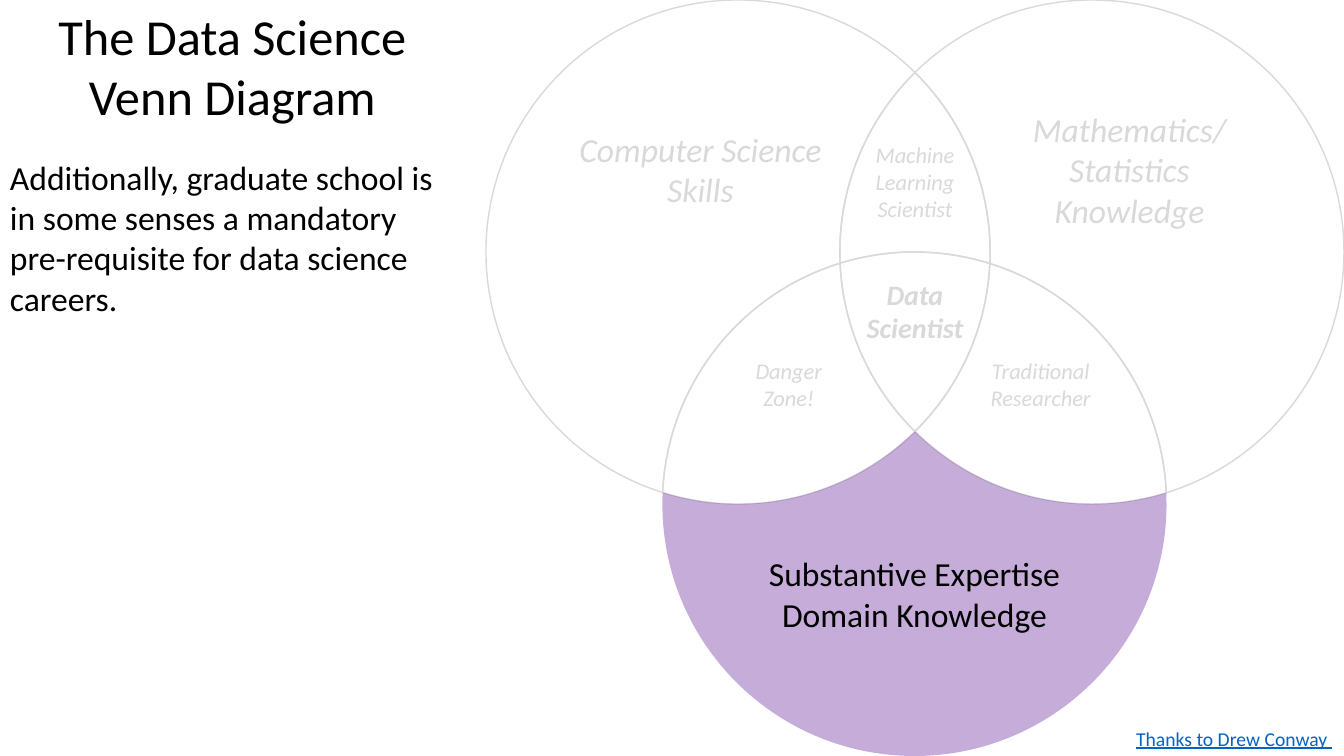
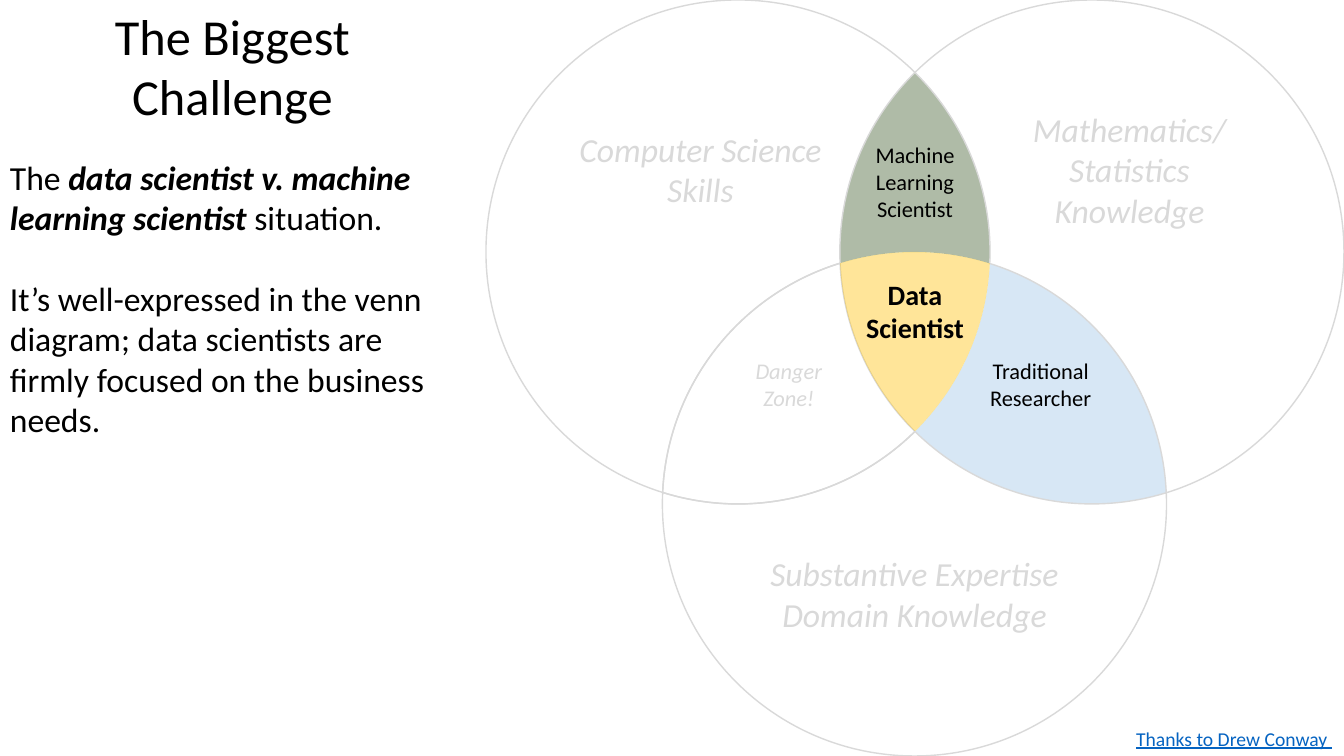
from dataclasses import dataclass
from math import atan2, cos, hypot, sin, sqrt, tan, tau
from typing import NamedTuple

from lxml.etree import SubElement
from pptx import Presentation
from pptx.dml.color import RGBColor
from pptx.enum.text import MSO_ANCHOR, PP_ALIGN
from pptx.oxml.ns import qn
from pptx.shapes.autoshape import Shape
from pptx.slide import Slide
from pptx.text.text import Font
from pptx.util import Inches, Pt


@dataclass(frozen=True)
class Theme:
    font: str = "Calibri"
    ink: str = "000000"
    faint: str = "D9D9D9"
    link: str = "0563C1"
    green: str = "385723"
    blue: str = "9DC3E6"
    gold: str = "FFC000"
    purple: str = "7030A0"
    alpha: int = 40
    title: int = 36
    body: int = 24
    core: int = 20
    small: int = 16
    note: int = 14
    gap: int = 22
    space: int = 29


class Point(NamedTuple):
    x: float
    y: float


class Arc(NamedTuple):
    """Part of a circle; turn is 1 for clockwise, -1 for the other way."""
    hub: Point
    start: Point
    end: Point
    turn: int


class Curve(NamedTuple):
    """A Bézier piece: two control points and the end."""
    pull: Point
    push: Point
    end: Point


class Region(NamedTuple):
    label: str
    size: int
    arcs: list[Arc]
    above: float = 0
    below: float = 0


class Span(NamedTuple):
    text: str
    strong: bool = False


class Page(NamedTuple):
    title: str
    body: list[list[Span]]
    lit: dict[str, str]


THEME = Theme()
RADIUS = 2.5
CODE, MATH, FIELD = Point(7.32, 2.5), Point(10.83, 2.5), Point(9.07, 5)


def meet(a: Point, b: Point) -> list[Point]:
    """Points where two circles cross, the upper one first."""
    dx, dy = b.x - a.x, b.y - a.y
    dist = hypot(dx, dy)
    rise = sqrt(RADIUS ** 2 - dist ** 2 / 4) / dist
    mid = Point((a.x + b.x) / 2, (a.y + b.y) / 2)
    both = [Point(mid.x + s * dy * rise, mid.y - s * dx * rise) for s in (1, -1)]
    return sorted(both, key=lambda p: p.y)


TOP, LOW = meet(CODE, MATH)
RIGHT, WEST = meet(CODE, FIELD)
LEFT, EAST = meet(MATH, FIELD)

REGIONS = [
    Region("Machine\nLearning\nScientist", THEME.small, [
        Arc(CODE, TOP, RIGHT, 1), Arc(FIELD, RIGHT, LEFT, -1),
        Arc(MATH, LEFT, TOP, 1)], above=0.27),
    Region("Traditional\nResearcher", THEME.small, [
        Arc(FIELD, RIGHT, EAST, 1), Arc(MATH, EAST, LOW, 1),
        Arc(CODE, LOW, RIGHT, -1)]),
    Region("Danger\nZone!", THEME.small, [
        Arc(MATH, LEFT, LOW, -1), Arc(CODE, LOW, WEST, 1),
        Arc(FIELD, WEST, LEFT, 1)]),
    Region("Computer Science\nSkills", THEME.body, [
        Arc(MATH, TOP, LEFT, -1), Arc(FIELD, LEFT, WEST, -1),
        Arc(CODE, WEST, TOP, 1)], below=1.53),
    Region("Mathematics/\nStatistics\nKnowledge", THEME.body, [
        Arc(MATH, TOP, EAST, 1), Arc(FIELD, EAST, RIGHT, -1),
        Arc(CODE, RIGHT, TOP, -1)], below=1.53),
    Region("Data\nScientist", THEME.core, [
        Arc(FIELD, LEFT, RIGHT, 1), Arc(CODE, RIGHT, LOW, 1),
        Arc(MATH, LOW, LEFT, 1)], below=0.61),
    Region("Substantive Expertise\nDomain Knowledge", THEME.body, [
        Arc(MATH, LOW, EAST, -1), Arc(FIELD, EAST, WEST, 1),
        Arc(CODE, WEST, LOW, -1)]),
]
LEARN, TRADE, _, _, _, DATA, DOMAIN = [r.label for r in REGIONS]

PAGES = [
    Page("The Data Science Venn Diagram",
         [[Span("Additionally, graduate school is in some senses a mandatory "
                "pre-requisite for data science careers.")]],
         {DOMAIN: THEME.purple}),
    Page("The Biggest Challenge",
         [[Span("The "),
           Span("data scientist v. machine learning scientist ", True),
           Span("situation.")],
          [Span("It’s well-expressed in the venn diagram; data scientists are "
                "firmly focused on the business needs.")]],
         {LEARN: THEME.green, TRADE: THEME.blue, DATA: THEME.gold}),
]


def style(font: Font, size: int, color: str, bold: bool = False,
          italic: bool = False) -> None:
    font.name, font.size = THEME.font, Pt(size)
    font.bold, font.italic = bold, italic
    font.color.rgb = RGBColor.from_string(color)


def trace(arc: Arc) -> list[Curve]:
    """Split an arc at its quarter points into curves."""
    hub = arc.hub
    first, last = (atan2(p.y - hub.y, p.x - hub.x) for p in (arc.start, arc.end))
    sweep = arc.turn * ((arc.turn * (last - first)) % tau)
    low, high = sorted((first, first + sweep))
    cuts = [i * tau / 4 for i in range(-8, 9) if low < i * tau / 4 < high]
    angles = sorted([low, *cuts, high], reverse=arc.turn < 0)

    def spot(angle: float, slide: float = 0) -> Point:
        """Point on the circle, moved along its tangent."""
        return Point(hub.x + RADIUS * (cos(angle) - slide * sin(angle)),
                     hub.y + RADIUS * (sin(angle) + slide * cos(angle)))

    curves = []
    for a, b in zip(angles, angles[1:]):
        reach = 4 / 3 * tan((b - a) / 4)
        curves.append(Curve(spot(a, reach), spot(b, -reach), spot(b)))
    return curves


def outline(slide: Slide, arcs: list[Arc]) -> Shape:
    """Build a closed freeform and bend its sides into curves."""
    curves = [curve for arc in arcs for curve in trace(arc)]
    start = arcs[0].start
    pen = slide.shapes.build_freeform(Inches(start.x), Inches(start.y))
    pen.add_line_segments([(Inches(c.end.x), Inches(c.end.y)) for c in curves])
    shape = pen.convert_to_shape()
    sides = list(shape.element.iter(qn("a:lnTo")))
    for side, curve in zip(sides, curves):
        bend = side.makeelement(qn("a:cubicBezTo"))
        for dot in curve:
            SubElement(bend, qn("a:pt"), x=str(Inches(dot.x) - shape.left),
                       y=str(Inches(dot.y) - shape.top))
        side.getparent().replace(side, bend)
    return shape


def draw(slide: Slide, region: Region, color: str | None) -> None:
    """Draw a region, filled when it has a colour and outlined when not."""
    shape = outline(slide, region.arcs)
    shape.shadow.inherit = False
    if color:
        shape.fill.solid()
        shape.fill.fore_color.rgb = RGBColor.from_string(color)
        tint = shape.element.spPr.find(qn("a:solidFill"))[0]
        SubElement(tint, qn("a:alpha"), val=str(THEME.alpha * 1000))
        shape.line.fill.background()
    else:
        shape.fill.background()
        shape.line.color.rgb = RGBColor.from_string(THEME.faint)
        shape.line.width = Pt(1)
    frame = shape.text_frame
    frame.text = region.label
    frame.word_wrap = True
    frame.vertical_anchor = MSO_ANCHOR.MIDDLE
    frame.margin_top = Inches(0.05 + region.above)
    frame.margin_bottom = Inches(0.05 + region.below)
    for para in frame.paragraphs:
        para.alignment = PP_ALIGN.CENTER
        for run in para.runs:
            style(run.font, region.size, THEME.ink if color else THEME.faint,
                  region.label == DATA, not color)


def credit(slide: Slide) -> None:
    box = slide.shapes.add_textbox(Inches(11.17), Inches(7.16),
                                   Inches(2.16), Inches(0.34))
    frame = box.text_frame
    frame.word_wrap = False
    frame.text = "Thanks to Drew Conway "
    font = frame.paragraphs[0].runs[0].font
    style(font, THEME.note, THEME.link)
    font.underline = True


def story(slide: Slide, page: Page) -> None:
    """Write the title and the body text in the left column."""
    box = slide.shapes.add_textbox(0, 0, Inches(4.61), Inches(4.44))
    frame = box.text_frame
    frame.word_wrap = True
    frame.text = page.title
    head = frame.paragraphs[0]
    head.alignment = PP_ALIGN.CENTER
    head.space_after = Pt(THEME.gap)
    style(head.runs[0].font, THEME.title, THEME.ink)
    for i, spans in enumerate(page.body):
        para = frame.add_paragraph()
        para.space_before = Pt(THEME.space if i else 0)
        for span in spans:
            run = para.add_run()
            run.text = span.text
            style(run.font, THEME.body, THEME.ink, span.strong, span.strong)


def main() -> None:
    deck = Presentation()
    deck.slide_width, deck.slide_height = Inches(13.33), Inches(7.5)
    for page in PAGES:
        slide = deck.slides.add_slide(deck.slide_layouts[6])
        for region in REGIONS:
            draw(slide, region, page.lit.get(region.label))
        credit(slide)
        story(slide, page)
    deck.save("out.pptx")


if __name__ == "__main__":
    main()
